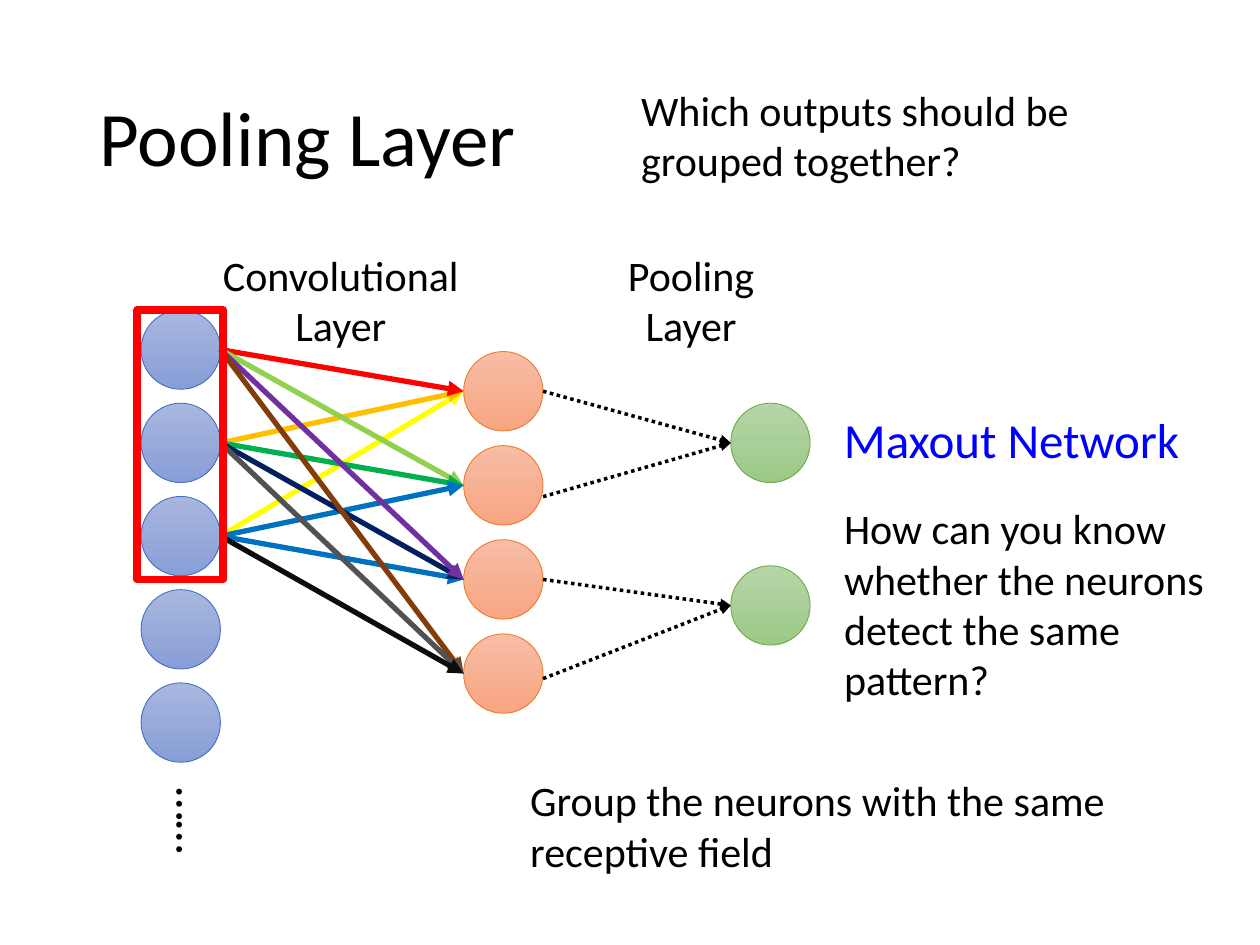
import pptx
import pptx.util
import pptx.dml.color
import pptx.enum.dml
import pptx.enum.shapes
import pptx.enum.text
import pptx.oxml.ns
from lxml import etree

COLS, ROWS = 100, 75
WIDE, HIGH = pptx.util.Inches(10), pptx.util.Inches(7.5)
SIZE = 6.3  # neuron width in grid cells

HUES = {
    "black": "000000", "blue": "0000FF", "red": "FF0000",
    "yellow": "FFFF00", "amber": "FFC000", "lime": "92D050",
    "green": "00B050", "sky": "0070C0", "navy": "002060",
    "purple": "7030A0", "brown": "843C0B", "grey": "525252", "ink": "0D0D0D",
    "input top": "A8B7DF", "input end": "889ED7", "input edge": "4472C4",
    "conv top": "F7BDA5", "conv end": "F8A582", "conv edge": "ED7D31",
    "pool top": "B5D5A7", "pool end": "9CC987", "pool edge": "70AD47",
}

# name: (column, first row, step, count)
LAYERS = {
    "input": (11.2, 24.6, 7.4, 5),
    "conv": (36.8, 27.9, 7.47, 4),
    "pool": (58, 32, 12.9, 2),
}

# (input neuron, conv neuron, colour), from back to front
WEIGHTS = [
    (2, 0, "yellow"), (1, 0, "amber"), (0, 0, "red"), (0, 1, "lime"),
    (1, 1, "green"), (2, 1, "sky"), (2, 2, "sky"), (1, 2, "navy"),
    (0, 2, "purple"), (0, 3, "brown"), (1, 3, "grey"), (2, 3, "ink"),
]

# (conv neuron, pool neuron, drop of the start point in rows)
GROUPS = [(1, 0, 0.9), (3, 1, 0.4), (0, 0, 0), (2, 1, 0)]

CENTER = {"alignment": pptx.enum.text.PP_ALIGN.CENTER}

# (text, cells, point size, colour, paragraph format, rotation)
NOTES = [
    ("Which outputs should be grouped together?",
     (49.9, 6.2, 38.6, 9.1), 24, "black", {}, 0),
    ("Group the neurons with the same receptive field",
     (41.1, 61, 49.8, 9.1), 24, "black", {}, 0),
    ("……", (10.8, 62.3, 9.5, 5.7), 28, "black", CENTER, 90),
    ("Convolutional\nLayer", (16.4, 19.3, 21.3, 9.1), 24, "black", CENTER, 0),
    ("Pooling\nLayer", (44.2, 19.3, 21.3, 9.1), 24, "black", CENTER, 0),
    ("Maxout Network", (66, 32, 31.3, 5.7), 28, "blue", {}, 0),
    ("How can you know whether the neurons detect the same pattern?",
     (66, 39.4, 31.8, 17.2), 24, "black", {}, 0),
]


def cells(*spots):
    """Turn alternating columns and rows into slide lengths."""
    return [round(spot * (HIGH / ROWS if n % 2 else WIDE / COLS))
            for n, spot in enumerate(spots)]


def hue(name):
    return pptx.dml.color.RGBColor.from_string(HUES[name])


def apply(target, values):
    for name, value in values.items():
        setattr(target, name, value)


def write(frame, text, size, color, form):
    frame.text = text
    frame.word_wrap = True
    for para in frame.paragraphs:
        apply(para, form)
        apply(para.font, {"name": "Calibri", "size": pptx.util.Pt(size)})
        para.font.color.rgb = hue(color)


def add_title(slide, text):
    title = slide.shapes.title
    left, top, width, height = cells(6.9, 4, 86.2, 14.5)
    apply(title, {"left": left, "top": top, "width": width, "height": height})
    write(title.text_frame, text, 44, "black",
          {"alignment": pptx.enum.text.PP_ALIGN.LEFT, "line_spacing": 0.9})
    title.text_frame.vertical_anchor = pptx.enum.text.MSO_ANCHOR.MIDDLE


def add_note(slide, text, place, size, color, form, turn):
    box = slide.shapes.add_textbox(*cells(*place))
    box.rotation = turn
    write(box.text_frame, text, size, color, form)


def add_form(slide, kind, place, edge, weight):
    form = slide.shapes.add_shape(kind, *cells(*place))
    form.shadow.inherit = False
    form.line.color.rgb = hue(edge)
    form.line.width = pptx.util.Pt(weight)
    return form


def add_layer(slide, name):
    col, row, step, count = LAYERS[name]
    for n in range(count):
        dot = add_form(slide, pptx.enum.shapes.MSO_SHAPE.OVAL,
                       (col, row + n * step, SIZE, SIZE), name + " edge", 0.5)
        dot.fill.gradient()
        dot.fill.gradient_angle = 270
        for stop, part in zip(dot.fill.gradient_stops, ("top", "end")):
            stop.color.rgb = hue(f"{name} {part}")


def port(name, n, right=False):
    """Middle of the left or right side of a neuron, in cells."""
    col, row, step, _ = LAYERS[name]
    return col + SIZE * right, row + n * step + SIZE / 2


def add_arrow(slide, start, end, color, style):
    arrow = slide.shapes.add_connector(
        pptx.enum.shapes.MSO_CONNECTOR.STRAIGHT, *cells(*start, *end))
    arrow.line.color.rgb = hue(color)
    apply(arrow.line, style)
    tag = pptx.oxml.ns.qn
    etree.SubElement(arrow.line._get_or_add_ln(), tag("a:tailEnd"),
                     type="triangle")
    etree.SubElement(arrow._element.spPr, tag("a:effectLst"))


def main():
    deck = pptx.Presentation()
    apply(deck, {"slide_width": WIDE, "slide_height": HIGH})
    slide = deck.slides.add_slide(deck.slide_layouts[5])
    add_title(slide, "Pooling Layer")
    for name in LAYERS:
        add_layer(slide, name)

    solid = {"width": pptx.util.Pt(3)}
    for source, target, color in WEIGHTS:
        add_arrow(slide, port("input", source, True), port("conv", target),
                  color, solid)
    dotted = {"width": pptx.util.Pt(2),
              "dash_style": pptx.enum.dml.MSO_LINE.ROUND_DOT}
    for source, target, drop in GROUPS:
        col, row = port("conv", source, True)
        add_arrow(slide, (col, row + drop), port("pool", target),
                  "black", dotted)

    field = add_form(slide, pptx.enum.shapes.MSO_SHAPE.RECTANGLE,
                     (10.9, 24.6, 6.8, 21.4), "red", 4.5)
    field.fill.background()
    for note in NOTES:
        add_note(slide, *note)
    deck.save("out.pptx")


if __name__ == "__main__":
    main()
